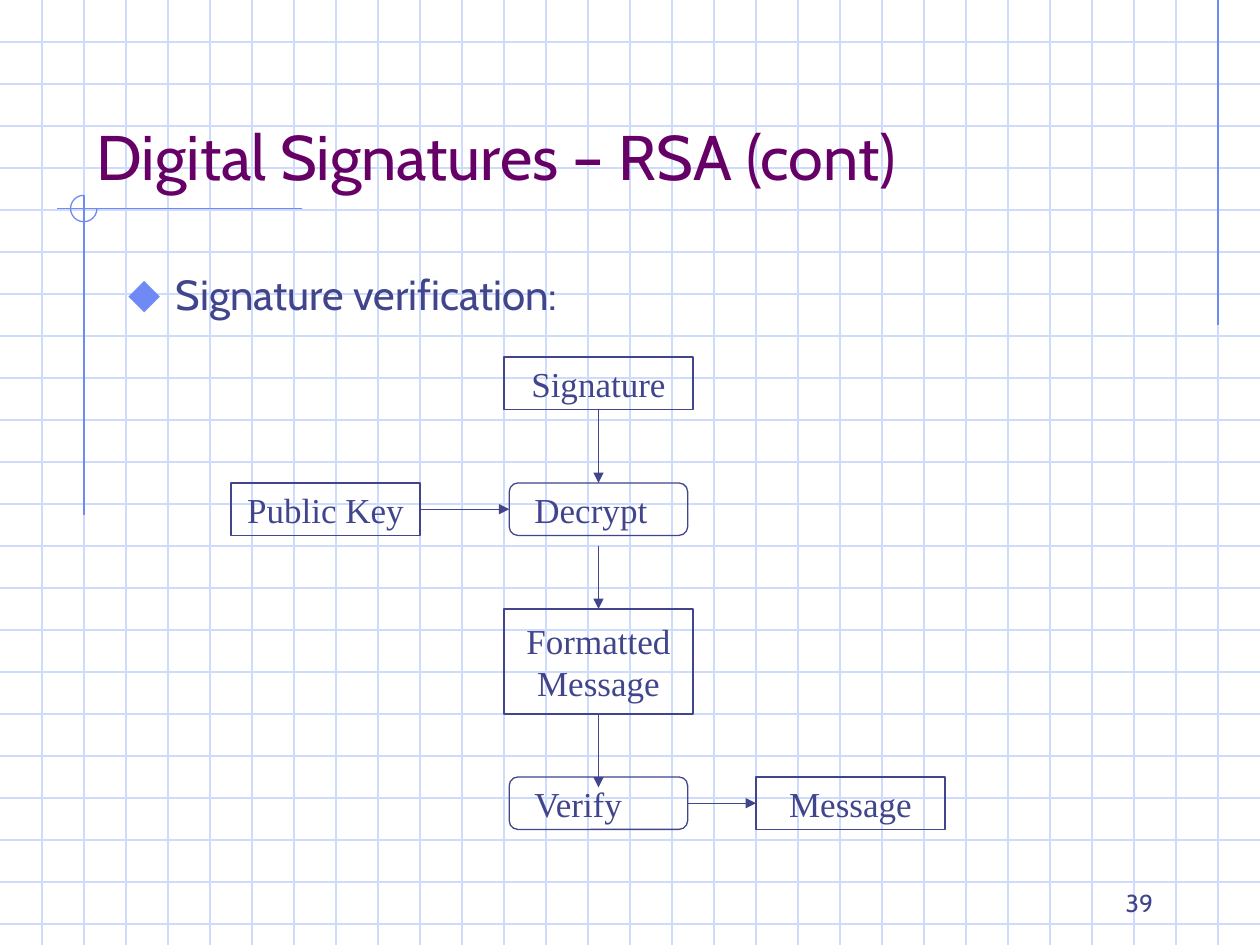
"""Builds the slide on verifying an RSA digital signature."""
from lxml import etree
from pptx import Presentation
from pptx.dml.color import RGBColor
from pptx.enum.shapes import MSO_CONNECTOR, MSO_SHAPE
from pptx.enum.text import MSO_ANCHOR as Anchor, MSO_AUTO_SIZE as AutoSize, PP_ALIGN as Align
from pptx.oxml.ns import qn
from pptx.util import Inches, Pt

COLUMNS, ROWS = 30, 22.5
CELL = Inches(10) / COLUMNS
GRID, ACCENT, INK, TITLE = "CFDBFD", "6F89F7", "40458C", "660066"
SANS, SERIF = "Cabin", "Times New Roman"
TOP, LEFT, BOTTOM, RIGHT = range(4)


def cells(*counts):
    """Turn counts of grid cells into lengths."""
    return [round(count * CELL) for count in counts]


def paint(color_format, color):
    """Set a colour from a hex string."""
    color_format.rgb = RGBColor.from_string(color)


def style_line(line, color):
    """Give a line its colour and the common width."""
    paint(line.color, color)
    line.width = Pt(0.75)


def add_line(slide, start, end, color):
    """Draw a straight connector between two grid points."""
    line = slide.shapes.add_connector(MSO_CONNECTOR.STRAIGHT, *cells(*start, *end))
    style_line(line.line, color)
    etree.SubElement(line.element.spPr, qn("a:effectLst"))
    return line


def add_arrow(slide, start, end, source=None, target=None):
    """Draw an arrow, joined to the (shape, side) pairs given."""
    arrow = add_line(slide, start, end, INK)
    if source:
        arrow.begin_connect(*source)
    if target:
        arrow.end_connect(*target)
    etree.SubElement(arrow.line._get_or_add_ln(), qn("a:tailEnd"), type="triangle")


def write(shape, text, size, font, color, align=Align.LEFT, anchor=Anchor.TOP):
    """Put one formatted paragraph into a shape."""
    frame = shape.text_frame
    frame.text = text
    frame.word_wrap = True
    frame.auto_size = AutoSize.NONE
    frame.vertical_anchor = anchor
    paragraph = frame.paragraphs[0]
    paragraph.alignment = align
    run_font = paragraph.runs[0].font
    run_font.size, run_font.name = Pt(size), font
    paint(run_font.color, color)
    return paragraph


def add_outline(slide, preset, box, color):
    """Add an unfilled preset shape."""
    shape = slide.shapes.add_shape(preset, *cells(*box))
    shape.shadow.inherit = False
    shape.fill.background()
    style_line(shape.line, color)
    return shape


def add_data(slide, text, column, row, height=1.25):
    """Add a rectangle that names a piece of data."""
    shape = add_outline(slide, MSO_SHAPE.RECTANGLE, (column, row, 4.5, height), INK)
    write(shape, text, 20, SERIF, INK, Align.CENTER, Anchor.MIDDLE)
    return shape


def add_step(slide, text, row):
    """Add a rounded rectangle that names an operation."""
    box = (12.125, row, 4.25, 1.25)
    shape = add_outline(slide, MSO_SHAPE.ROUNDED_RECTANGLE, box, INK)
    write(shape, text, 20, SERIF, INK, anchor=Anchor.MIDDLE)
    shape.text_frame.margin_left = Inches(0.18)
    return shape


def add_background(slide):
    """Draw the squared paper and its accent lines."""
    for row in range(1, 23):
        add_line(slide, (0, row), (COLUMNS, row), GRID)
    for column in range(1, COLUMNS):
        add_line(slide, (column, 0), (column, ROWS), GRID)
    add_line(slide, (29, 0), (29, 7.75), ACCENT)
    add_line(slide, (7.2, 4.97), (1.35, 4.97), ACCENT)
    add_line(slide, (2, 4.65), (2, 12.27), ACCENT)
    arc = add_outline(slide, MSO_SHAPE.ARC, (1.68, 4.65, 0.63, 0.63), ACCENT)
    arc.adjustments[0], arc.adjustments[1] = 0, 162


def place(slide, shape, box):
    """Move a placeholder to a grid box, in front of the background."""
    shape.left, shape.top, shape.width, shape.height = cells(*box)
    slide.shapes.element.append(shape.element)


def add_bullet(paragraph):
    """Give a paragraph a hanging diamond bullet."""
    properties = paragraph._p.get_or_add_pPr()
    properties.set("marL", str(Inches(0.38)))
    properties.set("indent", str(-Inches(0.38)))
    color = etree.SubElement(properties, qn("a:buClr"))
    etree.SubElement(color, qn("a:srgbClr"), val=ACCENT)
    etree.SubElement(properties, qn("a:buSzPct"), val="110000")
    etree.SubElement(properties, qn("a:buChar"), char="⬥")


def add_text(slide):
    """Fill the title, the list and the page number."""
    title, body = slide.shapes.title, slide.placeholders[1]
    place(slide, title, (2, 1, 25.5, 3.75))
    write(title, "Digital Signatures – RSA (cont)", 36, SANS, TITLE, anchor=Anchor.BOTTOM)
    place(slide, body, (2.75, 6.25, 25.5, 13.5))
    paragraph = write(body, "Signature verification:", 24, SANS, INK)
    paragraph.space_before = Pt(0)
    add_bullet(paragraph)
    number = slide.shapes.add_textbox(*cells(21.5, 20.5, 6.25, 1.5))
    write(number, "39", 14, SANS, INK, Align.RIGHT, Anchor.BOTTOM)


def add_flow(slide):
    """Draw the verification flow."""
    key = add_data(slide, "Public Key", 5.5, 11.5)
    message = add_data(slide, "Message", 18, 18.5)
    signature = add_data(slide, "Signature", 12, 8.5)
    formatted = add_data(slide, "Formatted Message", 12, 14.5, 2.5)
    decrypt = add_step(slide, "Decrypt", 11.5)
    verify = add_step(slide, "Verify", 18.5)
    middle = 14.25
    add_arrow(slide, (middle, 9.75), (middle, 11.5), (signature, BOTTOM), (decrypt, TOP))
    add_arrow(slide, (10, 12.125), (12.125, 12.125), (key, RIGHT), (decrypt, LEFT))
    add_arrow(slide, (middle, 13), (middle, 14.5), target=(formatted, TOP))
    add_arrow(slide, (middle, 17), (middle, 18.75), source=(formatted, BOTTOM))
    add_arrow(slide, (16.375, 19.125), (18, 19.125), (verify, RIGHT), (message, LEFT))


def main():
    """Build and save the presentation."""
    presentation = Presentation()
    presentation.slide_width, presentation.slide_height = Inches(10), Inches(7.5)
    slide = presentation.slides.add_slide(presentation.slide_layouts[1])
    add_background(slide)
    add_text(slide)
    add_flow(slide)
    presentation.save("out.pptx")


if __name__ == "__main__":
    main()
